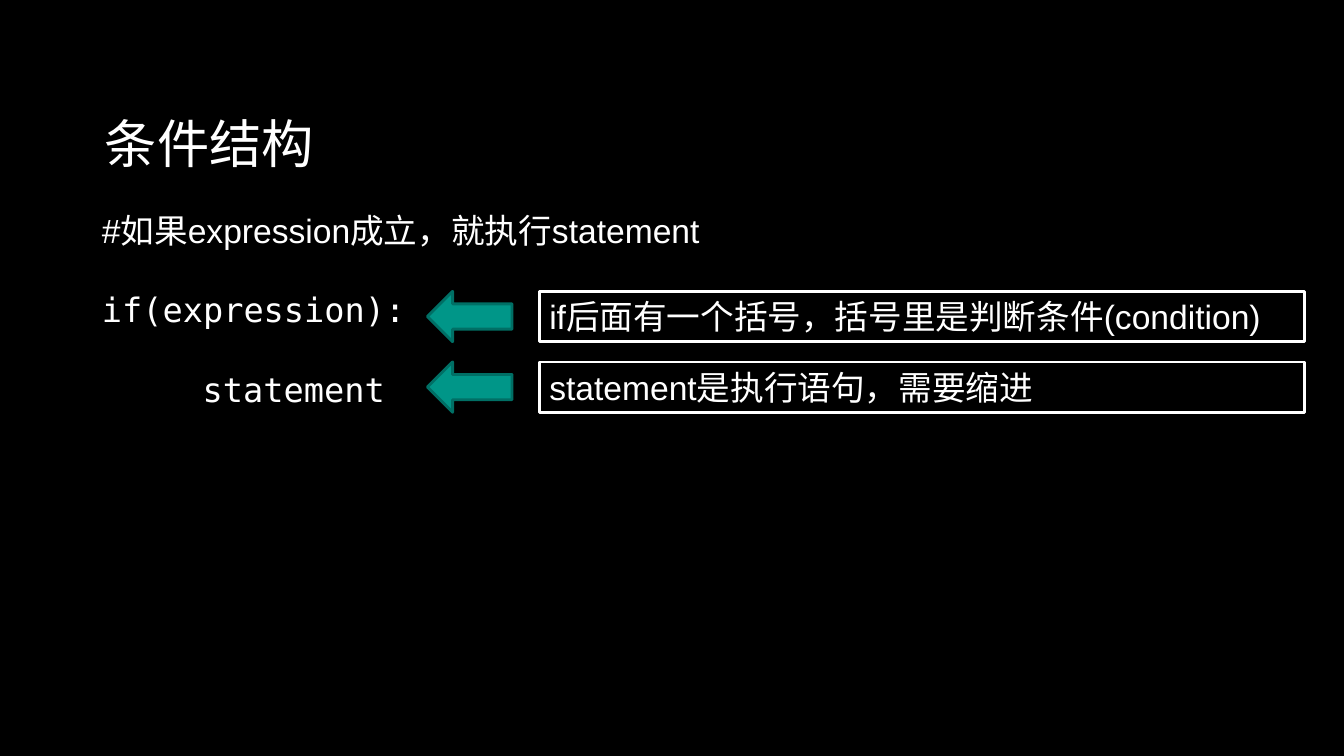
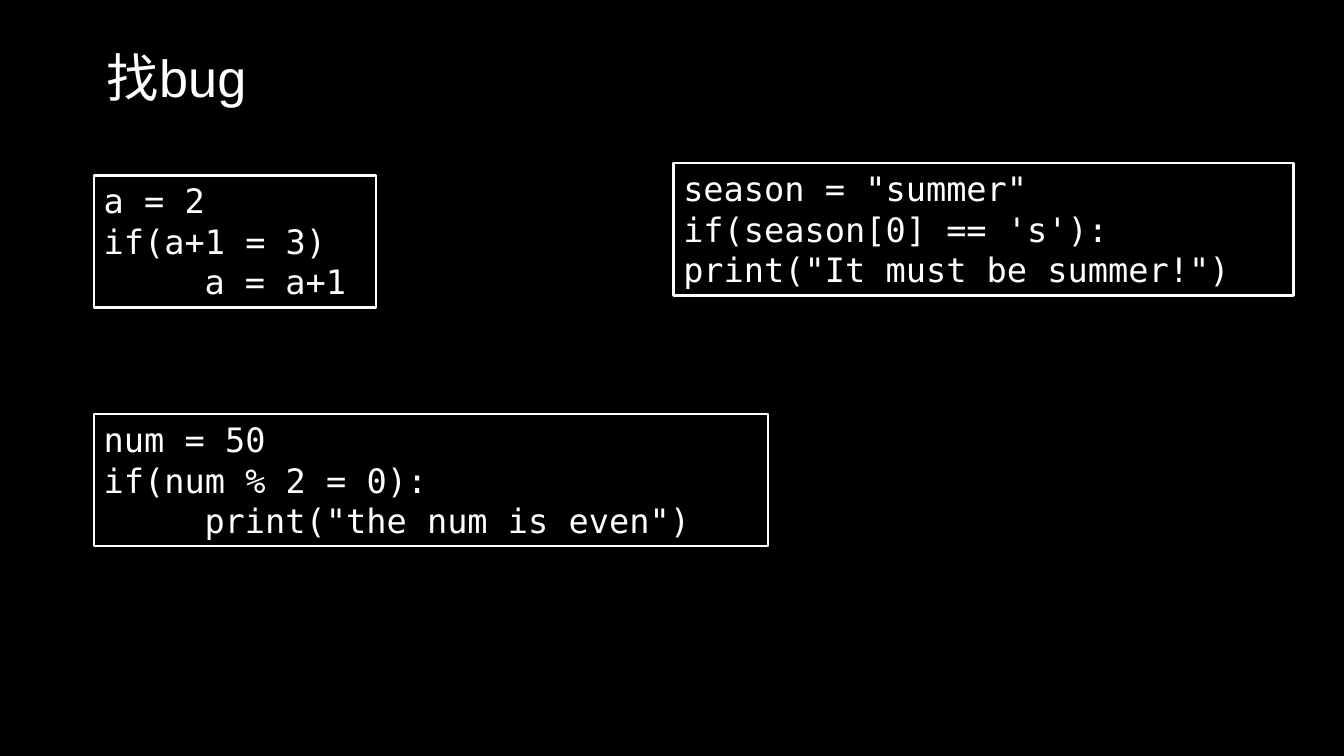
import pptx
import pptx.util
import pptx.dml.color
import pptx.enum.shapes
import pptx.enum.text
import pptx.oxml.ns
import lxml.etree

SHAPES = pptx.enum.shapes.MSO_SHAPE
BLACK, WHITE = "000000", "FFFFFF"
TEAL, DARK_TEAL = "009688", "006F65"
SANS, MONO = "Arial", "DejaVu Sans Mono"
TITLE_SIZE, TEXT_SIZE = 37.3, 24
TITLE_INSET, TAB = 0.13, 1
LAYOUT_TITLE_BODY, LAYOUT_TITLE = 1, 5


def color(hex_text):
    return pptx.dml.color.RGBColor.from_string(hex_text)


class Deck:
    """Shared style and the current slide; positions are percent of the slide."""

    def __init__(self, width, height):
        self.prs = pptx.Presentation()
        self.prs.slide_width = pptx.util.Inches(width)
        self.prs.slide_height = pptx.util.Inches(height)
        fill = self.prs.slide_master.background.fill
        fill.solid()
        fill.fore_color.rgb = color(BLACK)

    def new_slide(self, layout):
        self.s = self.prs.slides.add_slide(self.prs.slide_layouts[layout])

    def frame(self, x, y, w, h):
        sw, sh = self.prs.slide_width, self.prs.slide_height
        return [int(v * side / 100) for v, side in ((x, sw), (y, sh), (w, sw), (h, sh))]

    def place(self, sp, *box):
        sp.left, sp.top, sp.width, sp.height = self.frame(*box)

    def set_lines(self, sp, lines, size=TEXT_SIZE):
        """Each line is (text, font, indent in tabs, space before in points)."""
        tf = sp.text_frame
        tf.word_wrap = True
        tf.auto_size = pptx.enum.text.MSO_AUTO_SIZE.NONE
        tf.vertical_anchor = pptx.enum.text.MSO_ANCHOR.TOP
        for i, (text, font, tabs, gap) in enumerate(lines):
            p = tf.paragraphs[0] if i == 0 else tf.add_paragraph()
            p.text = text
            p.alignment = pptx.enum.text.PP_ALIGN.LEFT
            p.space_before = pptx.util.Pt(gap)
            p.font.name = font
            p.font.size = pptx.util.Pt(size)
            p.font.color.rgb = color(WHITE)
            # Indent and no bullet
            pPr = p._p.get_or_add_pPr()
            pPr.set("marL", str(pptx.util.Inches(TAB * tabs)))
            pPr.set("indent", "0")
            bullet = lxml.etree.Element(pptx.oxml.ns.qn("a:buNone"))
            pPr.find(pptx.oxml.ns.qn("a:defRPr")).addprevious(bullet)

    def title(self, text, x, y):
        sp = self.s.shapes.title
        self.place(sp, x, y, 100 - x, 11.2)
        tf = sp.text_frame
        inset = pptx.util.Inches(TITLE_INSET)
        tf.margin_left = tf.margin_right = tf.margin_top = tf.margin_bottom = inset
        self.set_lines(sp, [(text, SANS, 0, 0)], TITLE_SIZE)

    def body(self, lines, *box):
        sp = self.s.placeholders[1]
        self.place(sp, *box)
        self.set_lines(sp, lines)

    def shape(self, kind, box, line, weight, fill=None):
        sp = self.s.shapes.add_shape(kind, *self.frame(*box))
        sp.shadow.inherit = False
        if fill:
            sp.fill.solid()
            sp.fill.fore_color.rgb = color(fill)
        else:
            sp.fill.background()
        sp.line.color.rgb = color(line)
        sp.line.width = pptx.util.Pt(weight)
        return sp

    def framed_text(self, lines, *box):
        self.set_lines(self.shape(SHAPES.RECTANGLE, box, WHITE, 1.75), lines)

    def arrow(self, *box):
        self.shape(SHAPES.LEFT_ARROW, box, DARK_TEAL, 2, TEAL)


deck = Deck(13.33, 7.5)

# Slide 1: syntax with a note beside each code line
deck.new_slide(LAYOUT_TITLE_BODY)
deck.title("条件结构", 6.83, 12.93)
deck.body([
    ("#如果expression成立，就执行statement", SANS, 0, 0),
    ("if(expression):", MONO, 0, 28),
    ("statement", MONO, 1, 28),
], 6.83, 27.07, 50, 28.27)

notes = ["if后面有一个括号，括号里是判断条件(condition)", "statement是执行语句，需要缩进"]
for row, note in enumerate(notes):
    y = 38.53 + 9.34 * row
    deck.framed_text([(note, SANS, 0, 0)], 40.13, y, 56.93, 6.67)
    deck.arrow(31.8, y, 6.3, 6.67)

# Slide 2: three faulty code samples
deck.new_slide(LAYOUT_TITLE)
deck.title("找bug", 6.98, 4.27)
samples = [
    (6.98, 23.2, 21, [("a = 2", 0), ("if(a+1 = 3)", 0), ("a = a+1", 1)]),
    (6.98, 54.8, 50.18, [("num = 50", 0), ("if(num % 2 = 0):", 0),
                         ('print("the num is even")', 1)]),
    (50.1, 21.6, 46.13, [('season = "summer"', 0), ("if(season[0] == 's'):", 0),
                         ('print("It must be summer!")', 0)]),
]
for x, y, w, code in samples:
    deck.framed_text([(text, MONO, tabs, 0) for text, tabs in code], x, y, w, 17.47)

deck.prs.save("out.pptx")
